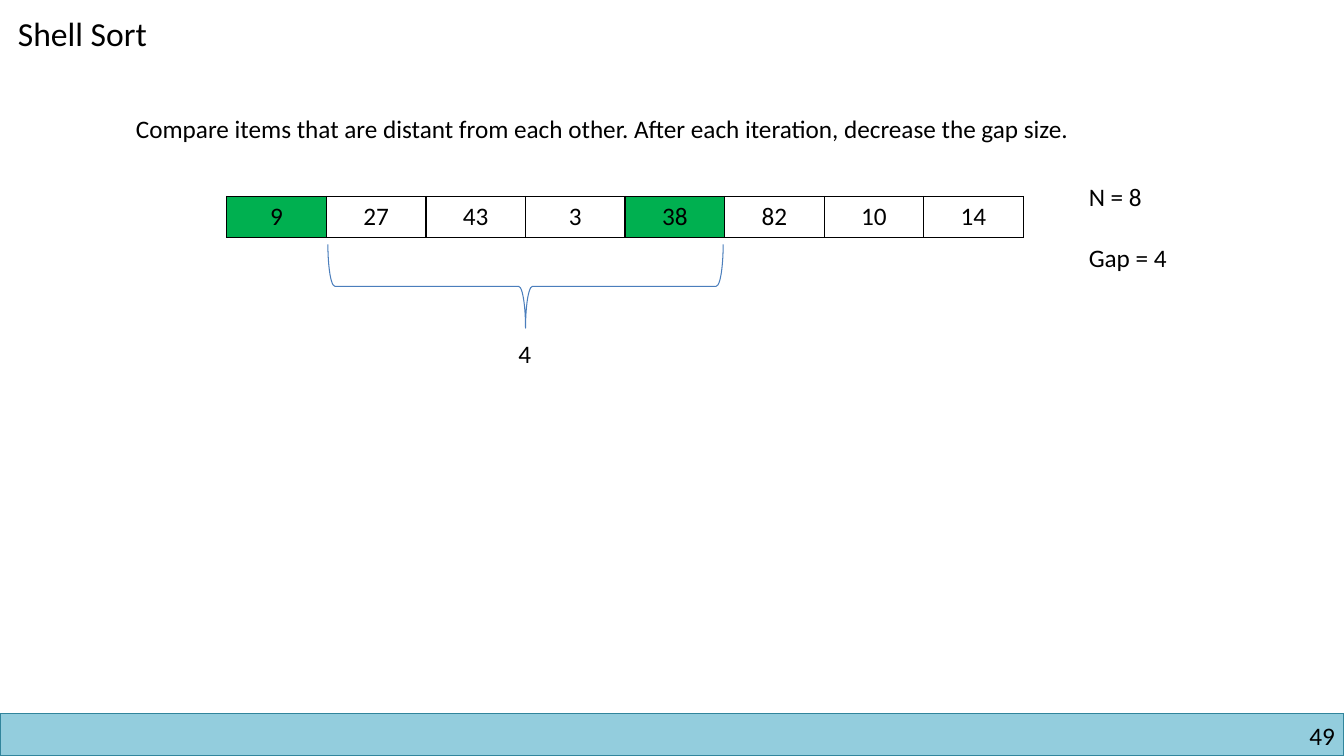
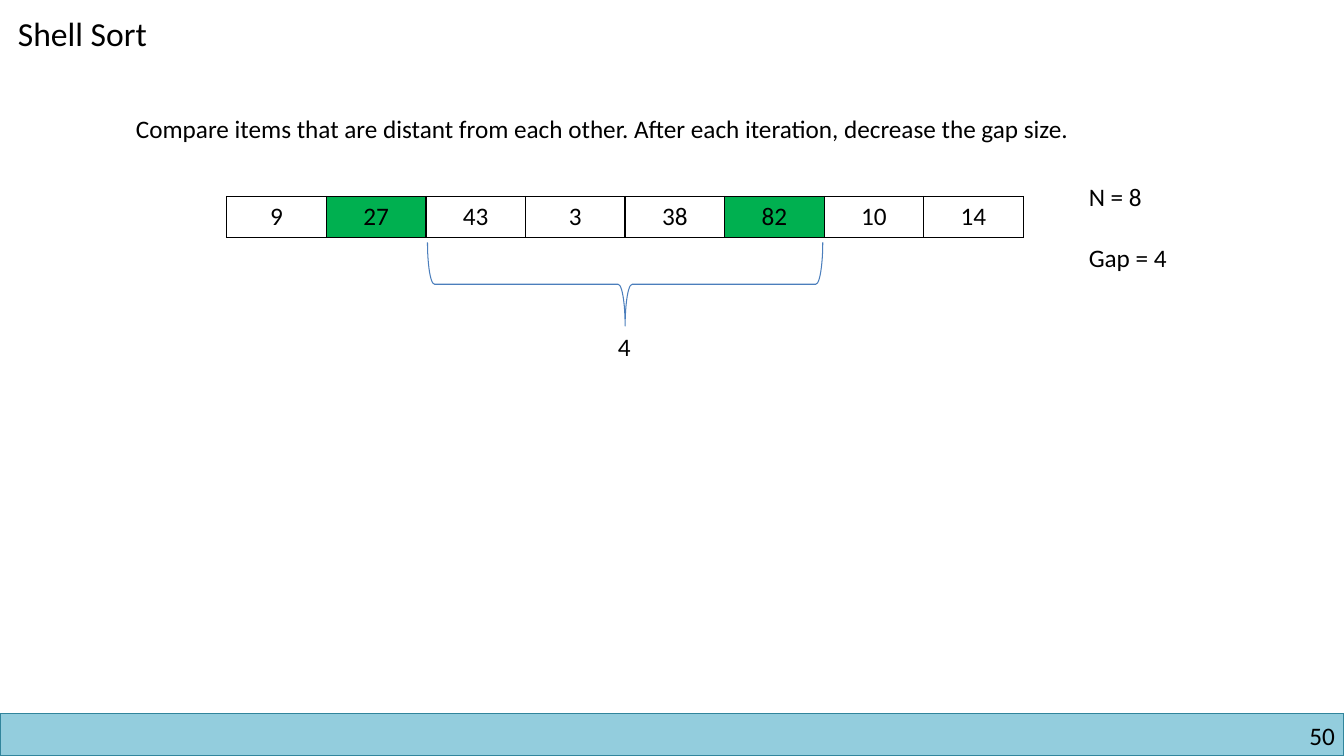
import pptx
import pptx.dml.color
import pptx.enum.shapes
import pptx.enum.text
import pptx.oxml
import pptx.oxml.ns
import pptx.util

Inches = pptx.util.Inches
Pt = pptx.util.Pt
RGBColor = pptx.dml.color.RGBColor
MSO_SHAPE = pptx.enum.shapes.MSO_SHAPE
PP_ALIGN = pptx.enum.text.PP_ALIGN
MSO_AUTO_SIZE = pptx.enum.text.MSO_AUTO_SIZE

BLACK = RGBColor(0x00, 0x00, 0x00)
WHITE = RGBColor(0xFF, 0xFF, 0xFF)
HIGHLIGHT = RGBColor(0x00, 0xB0, 0x50)
BAND_FILL = RGBColor(0x93, 0xCD, 0xDD)
BAND_LINE = RGBColor(0x31, 0x85, 0x9C)
BRACE_LINE = RGBColor(0x4B, 0x7E, 0xBC)

SLIDE_WIDTH, SLIDE_HEIGHT = 13.33, 7.5
BAND_HEIGHT = 0.42
VALUES = [9, 27, 43, 3, 38, 82, 10, 14]
GAP = 4
ARRAY_LEFT, ARRAY_TOP, ARRAY_WIDTH, ARRAY_HEIGHT = 2.25, 1.95, 7.9, 0.41
CELL_WIDTH = ARRAY_WIDTH / len(VALUES)
BRACE_SPAN, BRACE_DEPTH = 3.92, 0.83


class Deck:
    FONT = "Calibri"
    TITLE_SIZE = 24
    BODY_SIZE = 18

    def __init__(self):
        self.presentation = pptx.Presentation()
        self.presentation.slide_width = Inches(SLIDE_WIDTH)
        self.presentation.slide_height = Inches(SLIDE_HEIGHT)
        self.slide = None

    def style(self, paragraph, size=BODY_SIZE, align=PP_ALIGN.LEFT):
        paragraph.alignment = align
        for run in paragraph.runs:
            run.font.name = self.FONT
            run.font.size = Pt(size)
            run.font.color.rgb = BLACK

    def text(self, lines, left, top, width, height, size=BODY_SIZE,
             align=PP_ALIGN.LEFT, wrap=False, gap=0, inset=True):
        """Add a text box with one paragraph per line, gap points apart."""
        box = self.slide.shapes.add_textbox(
            Inches(left), Inches(top), Inches(width), Inches(height))
        frame = box.text_frame
        frame.word_wrap = wrap
        frame.auto_size = MSO_AUTO_SIZE.SHAPE_TO_FIT_TEXT
        if not inset:
            frame.margin_left = frame.margin_right = 0
            frame.margin_top = frame.margin_bottom = 0
        frame.text = "\n".join(lines)
        for index, paragraph in enumerate(frame.paragraphs):
            self.style(paragraph, size, align)
            if index and gap:
                paragraph.space_before = Pt(gap)

    def new_slide(self, title, number):
        self.slide = self.presentation.slides.add_slide(
            self.presentation.slide_layouts[6])
        self.band()
        self.text([str(number)], 10.17, 7.15, 3.07, 0.3,
                  align=PP_ALIGN.RIGHT, wrap=True, inset=False)
        self.text([title], 0.08, 0.08, 1.66, 0.5, size=self.TITLE_SIZE)

    def band(self):
        band = self.slide.shapes.add_shape(
            MSO_SHAPE.RECTANGLE, 0, Inches(SLIDE_HEIGHT - BAND_HEIGHT),
            Inches(SLIDE_WIDTH), Inches(BAND_HEIGHT))
        band.shadow.inherit = False
        band.fill.solid()
        band.fill.fore_color.rgb = BAND_FILL
        band.line.color.rgb = BAND_LINE
        band.line.width = Pt(1)

    def border(self, cell):
        """Draw a thin black line on all four sides of the cell."""
        properties = cell._tc.get_or_add_tcPr()
        for side in ("lnL", "lnR", "lnT", "lnB"):
            properties.append(pptx.oxml.parse_xml(
                f'<a:{side} {pptx.oxml.ns.nsdecls("a")} w="{Pt(1)}">'
                f'<a:solidFill><a:srgbClr val="{BLACK}"/></a:solidFill>'
                f'</a:{side}>'))

    def array(self, values, highlighted):
        table = self.slide.shapes.add_table(
            1, len(values), Inches(ARRAY_LEFT), Inches(ARRAY_TOP),
            Inches(ARRAY_WIDTH), Inches(ARRAY_HEIGHT)).table
        table.first_row = False
        table.horz_banding = False
        for index, value in enumerate(values):
            table.columns[index].width = Inches(CELL_WIDTH)
            cell = table.cell(0, index)
            self.border(cell)
            cell.fill.solid()
            cell.fill.fore_color.rgb = HIGHLIGHT if index in highlighted else WHITE
            cell.text_frame.text = str(value)
            self.style(cell.text_frame.paragraphs[0], align=PP_ALIGN.CENTER)

    def brace(self, center_x, center_y):
        """Add a brace that opens upwards, centred on the given point."""
        brace = self.slide.shapes.add_shape(
            MSO_SHAPE.LEFT_BRACE,
            Inches(center_x - BRACE_DEPTH / 2), Inches(center_y - BRACE_SPAN / 2),
            Inches(BRACE_DEPTH), Inches(BRACE_SPAN))
        brace.rotation = 270
        brace.shadow.inherit = False
        brace.fill.background()
        brace.line.color.rgb = BRACE_LINE
        brace.line.width = Pt(0.75)

    def comparison(self, number, first, brace_y, label_top):
        """Add the slide that compares item first with the one a gap away."""
        self.new_slide("Shell Sort", number)
        self.text(["Compare items that are distant from each other. "
                   "After each iteration, decrease the gap size."],
                  1.25, 1.08, 10.36, 0.4)
        self.array(VALUES, {first, first + GAP})
        self.text([f"N = {len(VALUES)}", f"Gap = {GAP}"],
                  10.7, 1.75, 1.11, 1.01, gap=22)
        center_x = ARRAY_LEFT + CELL_WIDTH * (first + 1 + GAP / 2)
        self.brace(center_x, brace_y)
        self.text([str(GAP)], center_x - 0.17, label_top, 0.34, 0.4)


def main():
    deck = Deck()
    deck.comparison(49, first=0, brace_y=2.84, label_top=3.31)
    deck.comparison(50, first=1, brace_y=2.82, label_top=3.24)
    deck.presentation.save("out.pptx")


if __name__ == "__main__":
    main()
